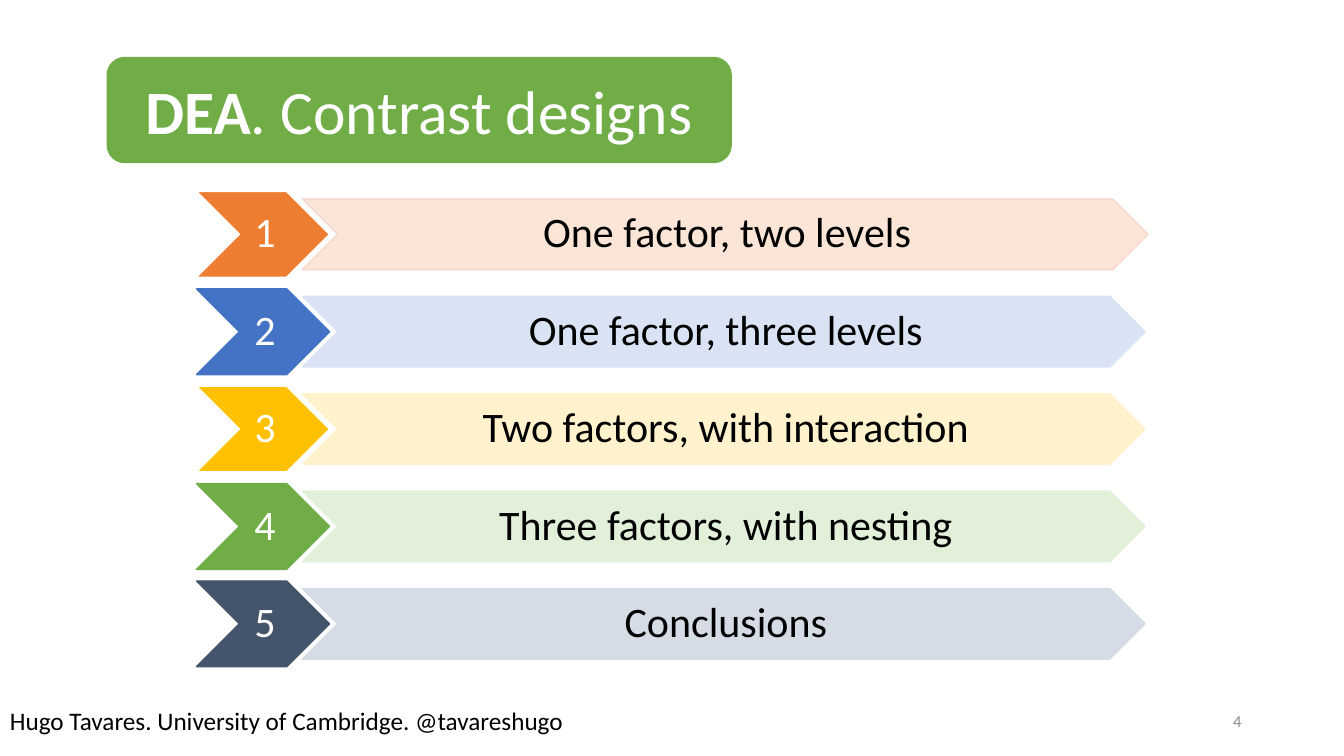
import pptx
import pptx.util
import pptx.dml.color
import pptx.enum.shapes
import pptx.enum.text

Pt = pptx.util.Pt
RGB = pptx.dml.color.RGBColor
SHAPE = pptx.enum.shapes.MSO_SHAPE
ALIGN = pptx.enum.text.PP_ALIGN
ANCHOR = pptx.enum.text.MSO_ANCHOR

# Colours
WHITE = RGB(0xFF, 0xFF, 0xFF)
BLACK = RGB(0x00, 0x00, 0x00)
GREY = RGB(0x8C, 0x8C, 0x8C)
ORANGE, PALE_ORANGE = RGB(0xED, 0x7D, 0x31), RGB(0xFB, 0xE5, 0xD6)
PINK = RGB(0xF8, 0xD7, 0xCE)
BLUE, PALE_BLUE = RGB(0x44, 0x72, 0xC4), RGB(0xDA, 0xE3, 0xF3)
GOLD, PALE_GOLD = RGB(0xFF, 0xC0, 0x00), RGB(0xFF, 0xF2, 0xCC)
GREEN, PALE_GREEN = RGB(0x70, 0xAD, 0x47), RGB(0xE2, 0xF0, 0xD9)
SLATE, PALE_SLATE = RGB(0x44, 0x54, 0x6A), RGB(0xD6, 0xDC, 0xE5)

# Content
TITLE = [("DEA", True), (". Contrast designs", False)]
FOOTER = "Hugo Tavares. University of Cambridge. @tavareshugo"
PAGE_NUMBER = "4"
# topic, number fill, number line, bar fill, bar line, bar width
TOPICS = [
    ("One factor, two levels", ORANGE, WHITE, PALE_ORANGE, PINK, 604),
    ("One factor, three levels", BLUE, BLUE, PALE_BLUE, PALE_BLUE, 602),
    ("Two factors, with interaction", GOLD, WHITE, PALE_GOLD, PALE_GOLD, 602),
    ("Three factors, with nesting", GREEN, GREEN, PALE_GREEN, PALE_GREEN, 602),
    ("Conclusions", SLATE, SLATE, PALE_SLATE, PALE_SLATE, 602),
]

# Layout in points
ROW_TOP, ROW_PITCH = 136.8, 69.55
NUMBER_LEFT, NUMBER_WIDTH, NUMBER_HEIGHT = 140.4, 95, 61.2
BAR_LEFT, BAR_HEIGHT = 216, 50.4
BAR_DROP = (NUMBER_HEIGHT - BAR_HEIGHT) / 2
FOOTER_TOP, FOOTER_HEIGHT = 500.4, 28.8
CHEVRON_FRAME = {"margin_left": Pt(3), "margin_right": 0,
                 "margin_top": Pt(1.5), "margin_bottom": Pt(1.5)}


def set_all(target, values):
    for name, value in values.items():
        setattr(target, name, value)


def write(box, spans, size, colour, frame=None, paragraph=None):
    set_all(box.text_frame, {"word_wrap": True,
                             "vertical_anchor": ANCHOR.MIDDLE, **(frame or {})})
    para = box.text_frame.paragraphs[0]
    set_all(para, {"alignment": ALIGN.CENTER, **(paragraph or {})})
    for text, bold in spans:
        span = para.add_run()
        span.text = text
        set_all(span.font, {"name": "Calibri", "size": Pt(size), "bold": bold})
        span.font.color.rgb = colour


def add_block(page, kind, place, fill, line):
    block = page.shapes.add_shape(kind, *map(Pt, place))
    block.shadow.inherit = False
    block.fill.solid()
    block.fill.fore_color.rgb = fill
    block.line.color.rgb = line
    block.line.width = Pt(1)
    return block


def add_chevron(page, place, fill, line, text, colour):
    chevron = add_block(page, SHAPE.CHEVRON, place, fill, line)
    write(chevron, [(text, False)], 30, colour, CHEVRON_FRAME,
          {"line_spacing": 0.9})


def main():
    deck = pptx.Presentation()
    set_all(deck, {"slide_width": Pt(960), "slide_height": Pt(540)})
    page = deck.slides.add_slide(deck.slide_layouts[6])

    # Title
    title = add_block(page, SHAPE.ROUNDED_RECTANGLE,
                      (76.6, 41.1, 445.7, 75), GREEN, GREEN)
    write(title, TITLE, 44, WHITE)

    # Numbered topics
    for index, topic in enumerate(TOPICS):
        text, fill, line, bar_fill, bar_line, bar_width = topic
        top = ROW_TOP + index * ROW_PITCH
        add_chevron(page, (NUMBER_LEFT, top, NUMBER_WIDTH, NUMBER_HEIGHT),
                    fill, line, str(index + 1), WHITE)
        add_chevron(page, (BAR_LEFT, top + BAR_DROP, bar_width, BAR_HEIGHT),
                    bar_fill, bar_line, text, BLACK)

    # Page number and footer
    number = page.shapes.add_textbox(Pt(678), Pt(FOOTER_TOP), Pt(216),
                                     Pt(FOOTER_HEIGHT))
    write(number, [(PAGE_NUMBER, False)], 12, GREY,
          paragraph={"alignment": ALIGN.RIGHT})
    footer = page.shapes.add_textbox(0, Pt(FOOTER_TOP), Pt(414),
                                     Pt(FOOTER_HEIGHT))
    write(footer, [(FOOTER, False)], 18, BLACK,
          {"word_wrap": False, "vertical_anchor": ANCHOR.TOP},
          {"alignment": ALIGN.LEFT})

    deck.save("out.pptx")


if __name__ == "__main__":
    main()
